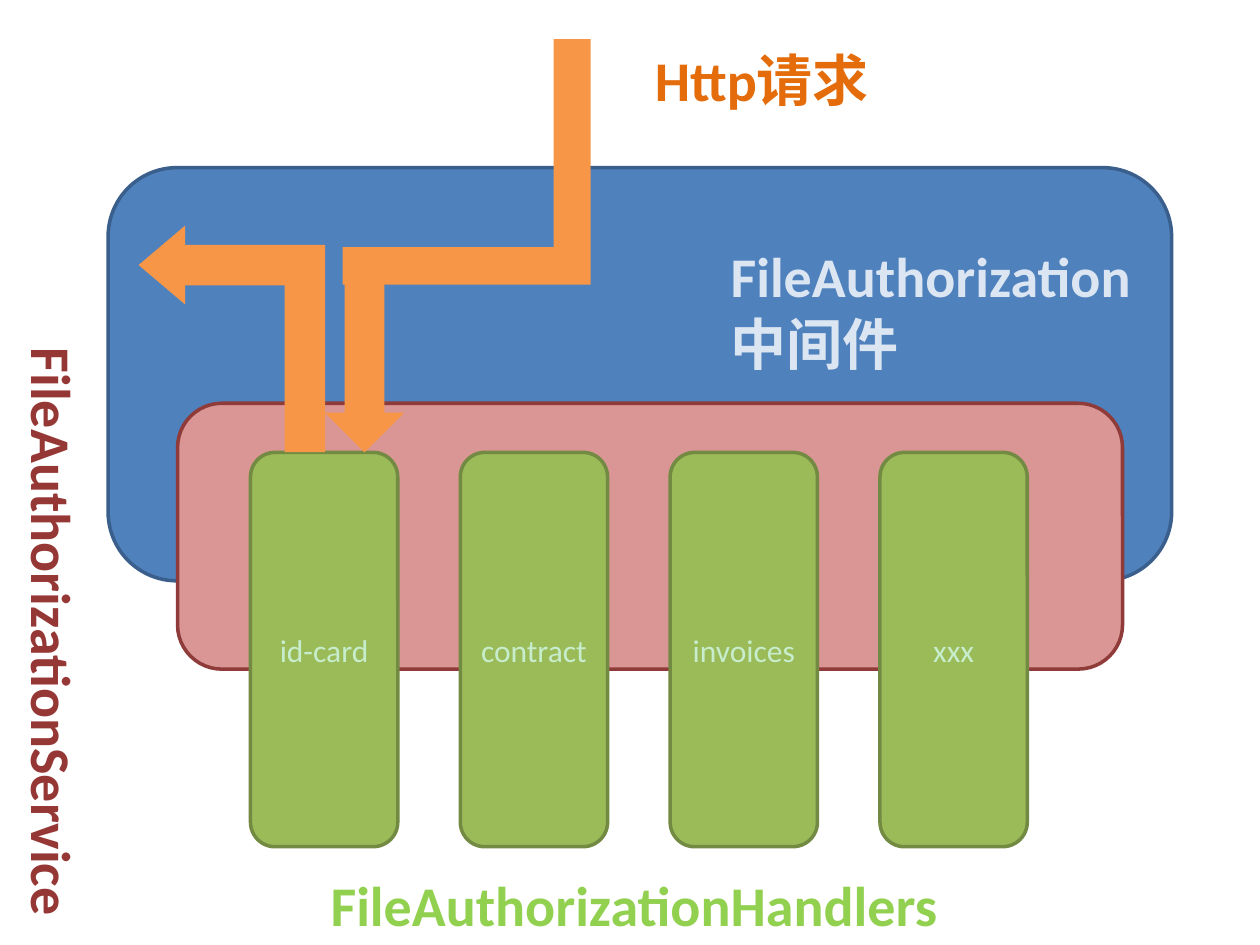
from pptx import Presentation
from pptx import util as u
from pptx.dml.color import RGBColor
from pptx.enum import shapes, text

COLORS = {
    "middleware": "4F81BD", "middleware_edge": "3A5F8C", "middleware_text": "DCE6F2",
    "service": "D99694", "service_edge": "8E3B39", "service_text": "953735",
    "handler": "9BBB59", "handler_edge": "738A42", "handler_text": "C7EDCC",
    "handlers_title": "92D050", "flow": "F79646", "request_text": "E46C0A",
}
SHAPE = shapes.MSO_SHAPE
ALIGN = text.PP_ALIGN


def color(key):
    return RGBColor.from_string(COLORS[key])


def cm(*lengths):
    return [u.Cm(length) for length in lengths]


def add_block(slide, preset, box, fill, edge=None, adjustments=()):
    block = slide.shapes.add_shape(preset, *cm(*box))
    block.shadow.inherit = False
    block.fill.solid()
    block.fill.fore_color.rgb = color(fill)
    if edge:
        block.line.color.rgb = color(edge)
        block.line.width = u.Pt(2)
    else:
        block.line.fill.background()
    for index, value in enumerate(adjustments):
        block.adjustments[index] = value
    return block


def write(frame, lines, size, ink, bold=False, align=ALIGN.LEFT):
    frame.word_wrap = True
    for index, line in enumerate(lines):
        paragraph = frame.add_paragraph() if index else frame.paragraphs[0]
        paragraph.text = line
        paragraph.alignment = align
        font = paragraph.font
        font.name, font.size, font.bold = "Calibri", u.Pt(size), bold
        font.color.rgb = color(ink)


def add_title(slide, box, lines, ink, align=ALIGN.LEFT):
    title = slide.shapes.add_textbox(*cm(*box))
    write(title.text_frame, lines, 32, ink, True, align)
    title.text_frame.auto_size = text.MSO_AUTO_SIZE.SHAPE_TO_FIT_TEXT
    return title


def add_middleware(slide, left, top, width, height):
    add_block(slide, SHAPE.ROUNDED_RECTANGLE, (left, top, width, height),
              "middleware", "middleware_edge")
    add_title(slide, (left + 12.3, top + 1.37, 8.66, 3),
              ["FileAuthorization", "中间件"], "middleware_text")


def add_request(slide, left, top):
    # Incoming path, bent towards the first handler
    path_in = add_block(slide, SHAPE.CORNER, (left, top, 5, 4.95), "flow",
                        adjustments=(0.153, 0.151))
    path_in._element.spPr.xfrm.set("flipH", "1")
    add_title(slide, (left + 6.04, top, 4.9, 1.63), ["Http请求"], "request_text")


def add_service(slide, left, top, width, height):
    add_block(slide, SHAPE.ROUNDED_RECTANGLE, (left, top, width, height),
              "service", "service_edge")
    title = add_title(slide, (0, top - 1.37, 1.88, 12.29),
                      ["FileAuthorizationService"], "service_text")
    title.text_frame._txBody.bodyPr.set("vert", "eaVert")


def add_handlers(slide, left, top, names, width=2.97, height=7.95, pitch=4.23):
    for index, name in enumerate(names):
        handler = add_block(slide, SHAPE.ROUNDED_RECTANGLE,
                            (left + index * pitch, top, width, height),
                            "handler", "handler_edge")
        handler.text_frame.vertical_anchor = text.MSO_ANCHOR.MIDDLE
        write(handler.text_frame, [name], 18, "handler_text", align=ALIGN.CENTER)
    add_title(slide, (left - 0.3, top + 8.3, 16.08, 1.63),
              ["FileAuthorizationHandlers"], "handlers_title", ALIGN.CENTER)


def add_handler_flow(slide, left, top):
    # Down into the handler, then back up and out to the left
    add_block(slide, SHAPE.DOWN_ARROW, (left + 4.16, top + 0.21, 1.6, 3.96), "flow")
    path_out = add_block(slide, SHAPE.BENT_UP_ARROW, (left, top, 4.57, 3.76), "flow",
                         adjustments=(0.217, 0.212, 0.25))
    path_out.rotation = 270


deck = Presentation()
deck.slide_width, deck.slide_height = cm(25.4, 19.05)
slide = deck.slides.add_slide(deck.slide_layouts[6])

add_middleware(slide, 2.18, 3.38, 21.44, 8.33)
add_request(slide, 6.91, 0.79)
add_service(slide, 3.58, 8.13, 19.05, 5.36)
add_handlers(slide, 5.05, 9.12, ["id-card", "contract", "invoices", "xxx"])
add_handler_flow(slide, 2.39, 4.95)

deck.save("out.pptx")
